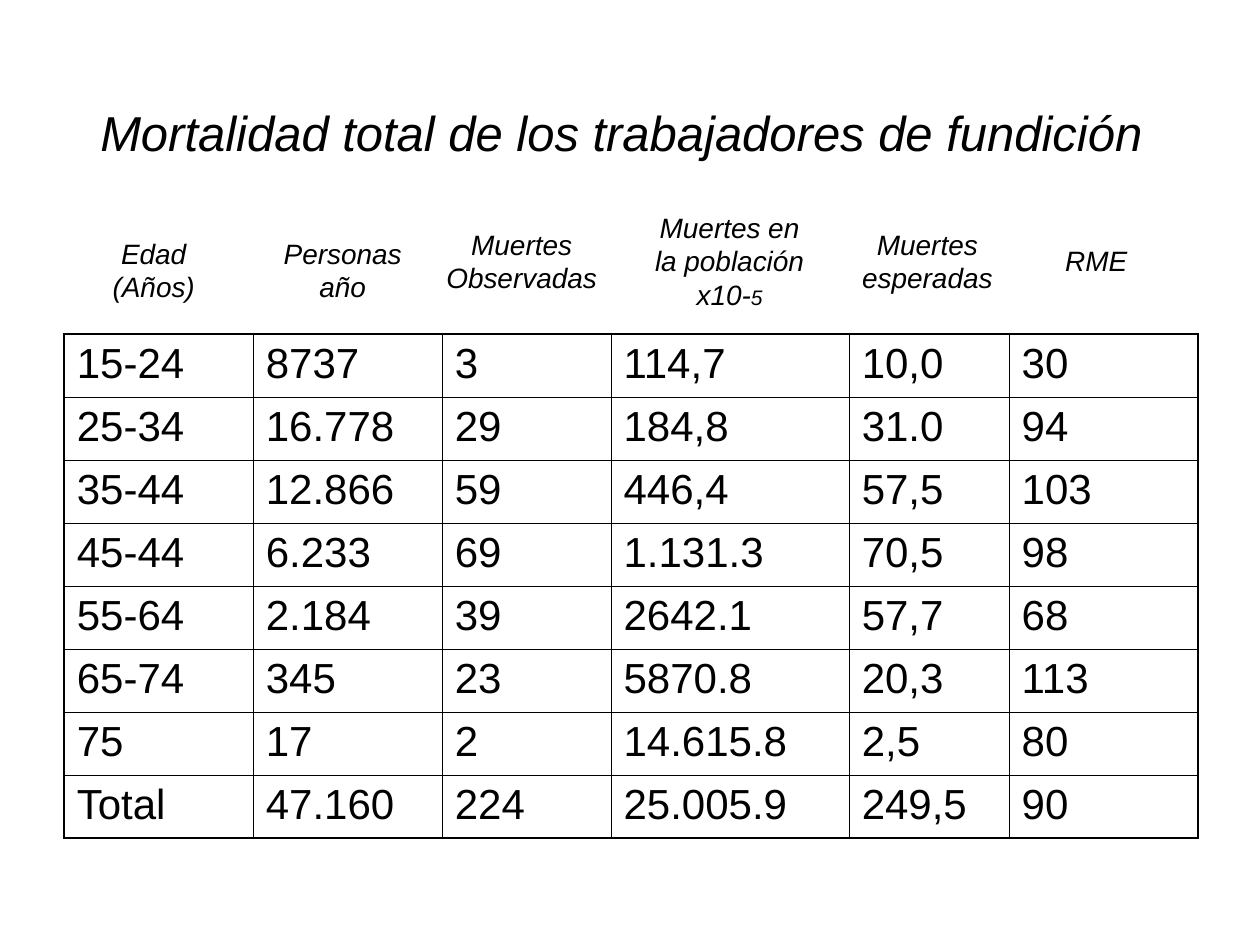
from typing import NamedTuple

from lxml.etree import SubElement
from pptx import Presentation
from pptx.dml.color import RGBColor
from pptx.enum.text import MSO_ANCHOR as Anchor, PP_ALIGN as Align
from pptx.oxml.ns import qn
from pptx.util import Inches, Pt

FONT = "Arial"
COLORS = {"text": "000000", "border": "000000", "background": "FFFFFF"}
BORDER_OUTER, BORDER_INNER = 1.08, 0.45


class Span(NamedTuple):
    text: str
    size: float


class Label(NamedTuple):
    left: float
    top: float
    width: float
    height: float
    spans: tuple[Span, ...]


def header(left: float, top: float, *spans: Span) -> Label:
    return Label(left, top, 1.42, 1.04, spans)


TITLE = Label(0.43, 0.68, 9, 0.73,
              (Span("Mortalidad total de los trabajadores de fundición", 28),))
HEADERS = [
    header(0.51, 1.62, Span("Edad\n(Años)", 16)),
    header(2.01, 1.62, Span("Personas\naño", 16)),
    header(3.43, 1.55, Span("Muertes\nObservadas", 16)),
    header(5.08, 1.55, Span("Muertes en la población x10-", 16), Span("5", 12)),
    header(6.65, 1.55, Span("Muertes esperadas", 16)),
    header(7.99, 1.55, Span("RME", 16)),
]
COLUMN_WIDTHS = [1.5, 1.5, 1.34, 1.89, 1.27, 1.5]
ROW_HEIGHT = 0.5
ROWS = [
    ["15-24", "8737", "3", "114,7", "10,0", "30"],
    ["25-34", "16.778", "29", "184,8", "31.0", "94"],
    ["35-44", "12.866", "59", "446,4", "57,5", "103"],
    ["45-44", "6.233", "69", "1.131.3", "70,5", "98"],
    ["55-64", "2.184", "39", "2642.1", "57,7", "68"],
    ["65-74", "345", "23", "5870.8", "20,3", "113"],
    ["75", "17", "2", "14.615.8", "2,5", "80"],
    ["Total", "47.160", "224", "25.005.9", "249,5", "90"],
]


def write_span(para, span: Span, italic: bool = False) -> None:
    """Add the span as runs, turning each newline into a line break of its size."""
    font_format = {"name": FONT, "size": Pt(span.size), "italic": italic}
    for index, line in enumerate(span.text.split("\n")):
        if index:
            para.add_line_break()
            line_break = para._p.findall(qn("a:br"))[-1]
            SubElement(line_break, qn("a:rPr"), sz=str(span.size * 100))
        run = para.add_run()
        run.text = line
        for name, value in font_format.items():
            setattr(run.font, name, value)
        run.font.color.rgb = RGBColor.from_string(COLORS["text"])


def add_label(slide, label: Label) -> None:
    box = slide.shapes.add_textbox(*map(Inches, label[:4]))
    frame = box.text_frame
    frame.word_wrap = True
    frame.vertical_anchor = Anchor.MIDDLE
    para = frame.paragraphs[0]
    para.alignment = Align.CENTER
    for span in label.spans:
        write_span(para, span, italic=True)


def set_borders(cell, widths: dict[str, float]) -> None:
    properties = cell._tc.get_or_add_tcPr()
    for side, width in widths.items():
        line = SubElement(properties, qn(f"a:ln{side}"), w=str(int(Pt(width))))
        fill = SubElement(line, qn("a:solidFill"))
        SubElement(fill, qn("a:srgbClr"), val=COLORS["border"])


def add_mortality_table(slide) -> None:
    last_row, last_column = len(ROWS) - 1, len(COLUMN_WIDTHS) - 1
    frame = slide.shapes.add_table(
        len(ROWS), len(COLUMN_WIDTHS), Inches(0.51), Inches(2.65),
        Inches(sum(COLUMN_WIDTHS)), Inches(ROW_HEIGHT * len(ROWS)))
    table = frame.table
    table.first_row = table.horz_banding = False
    for column, width in zip(table.columns, COLUMN_WIDTHS):
        column.width = Inches(width)
    for row_index, values in enumerate(ROWS):
        table.rows[row_index].height = Inches(ROW_HEIGHT)
        for column_index, value in enumerate(values):
            cell = table.cell(row_index, column_index)
            write_span(cell.text_frame.paragraphs[0], Span(value, 24))
            is_outer = {"L": column_index == 0, "R": column_index == last_column,
                        "T": row_index == 0, "B": row_index == last_row}
            set_borders(cell, {side: BORDER_OUTER if outer else BORDER_INNER
                               for side, outer in is_outer.items()})
            cell.fill.background()


def main() -> None:
    deck = Presentation()
    deck.slide_width, deck.slide_height = Inches(10), Inches(7.5)
    slide = deck.slides.add_slide(deck.slide_layouts[6])
    background = slide.background.fill
    background.solid()
    background.fore_color.rgb = RGBColor.from_string(COLORS["background"])
    add_label(slide, TITLE)
    add_mortality_table(slide)
    for label in HEADERS:
        add_label(slide, label)
    deck.save("out.pptx")


if __name__ == "__main__":
    main()
